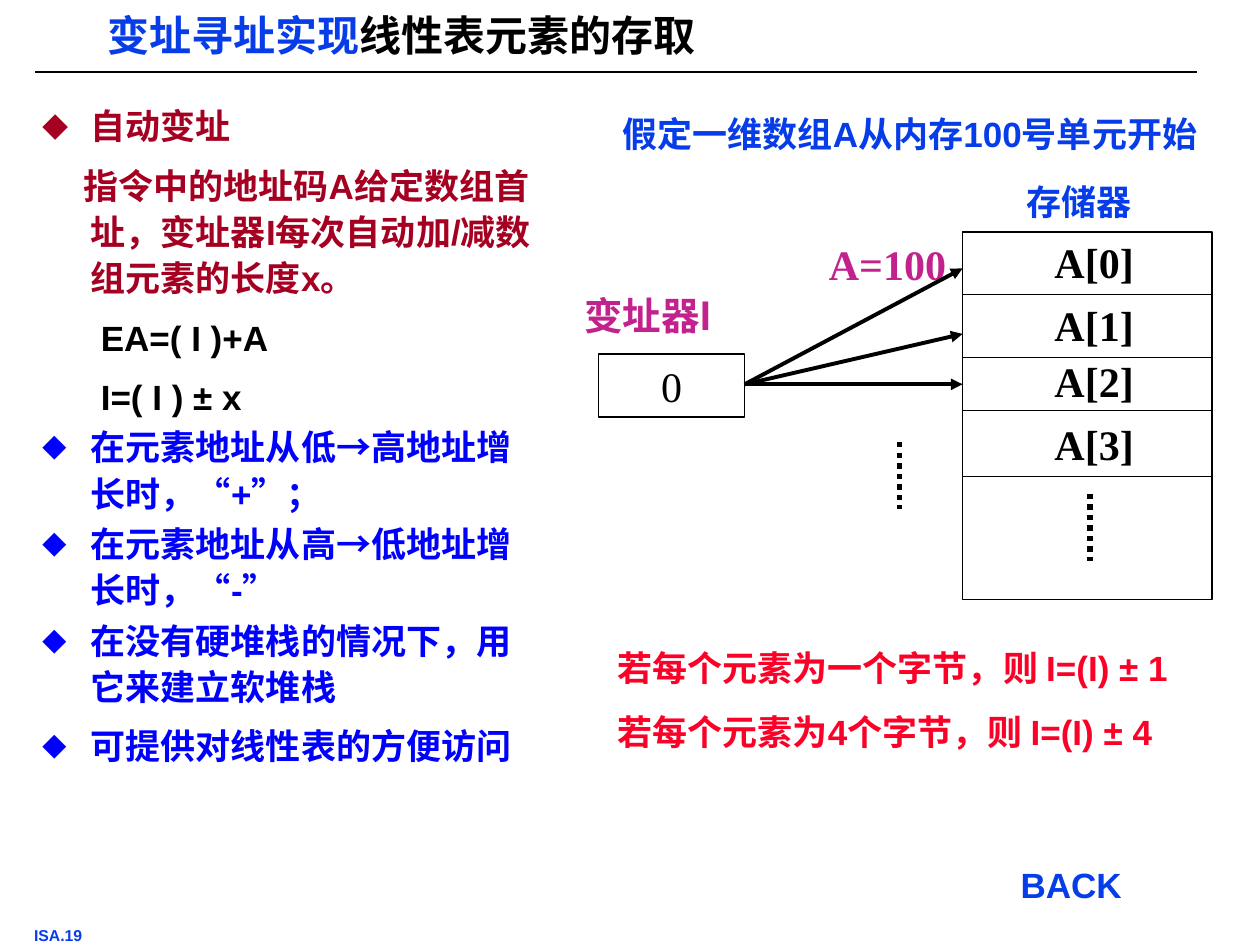
from dataclasses import dataclass
from typing import Optional

from lxml.etree import SubElement
from pptx import Presentation
from pptx.dml.color import RGBColor
from pptx.enum.dml import MSO_LINE
from pptx.enum.shapes import MSO_CONNECTOR, MSO_SHAPE
from pptx.enum.text import MSO_ANCHOR, MSO_AUTO_SIZE, PP_ALIGN
from pptx.oxml.ns import qn
from pptx.util import Inches, Pt


@dataclass(frozen=True)
class Theme:
    blue: str = "063DE8"
    bullet_blue: str = "0000FF"
    dark_red: str = "A50021"
    red: str = "FC0128"
    magenta: str = "C2228D"
    black: str = "000000"
    white: str = "FFFFFF"
    sans: str = "Arial"
    serif: str = "Times New Roman"
    chinese: str = "Noto Sans CJK SC"
    title: float = 24
    cell: float = 24
    register: float = 22
    text: float = 20
    footer: float = 9


THEME = Theme()
WIDE_INSET, NARROW_INSET = (0.1, 0.05), (0.07, 0.03)


@dataclass(frozen=True)
class Label:
    lines: tuple[str, ...]
    left: float
    top: float
    width: float
    height: float
    color: str = THEME.blue
    size: float = THEME.text
    font: str = THEME.sans
    inset: tuple[float, float] = NARROW_INSET
    wrap: bool = True


@dataclass(frozen=True)
class BodyItem:
    text: str
    color: str
    indent: float = -0.38
    space_before: float = 7.5
    bullet_size: Optional[int] = None


@dataclass(frozen=True)
class Line:
    start: tuple[float, float]
    end: tuple[float, float]
    width: float = 0.75
    dotted: bool = False
    arrow: bool = False


def format_font(paragraph, color: Optional[str], size: float,
                name: str = THEME.sans, bold: bool = True) -> None:
    font = paragraph.font
    font.size, font.name, font.bold = Pt(size), name, bold
    if color:
        font.color.rgb = RGBColor.from_string(color)
    SubElement(font._element, qn("a:ea"), typeface=THEME.chinese)


def format_frame(frame, inset: tuple[float, float], auto_size, wrap: bool = True) -> None:
    frame.margin_left = frame.margin_right = Inches(inset[0])
    frame.margin_top = frame.margin_bottom = Inches(inset[1])
    frame.auto_size, frame.word_wrap = auto_size, wrap
    frame.vertical_anchor = MSO_ANCHOR.TOP


def place(shape, left: float, top: float, width: float, height: float) -> None:
    shape.left, shape.top = Inches(left), Inches(top)
    shape.width, shape.height = Inches(width), Inches(height)


def add_paragraph(frame, index: int):
    return frame.add_paragraph() if index else frame.paragraphs[0]


def add_label(slide, label: Label) -> None:
    box = slide.shapes.add_textbox(Inches(label.left), Inches(label.top),
                                   Inches(label.width), Inches(label.height))
    format_frame(box.text_frame, label.inset, MSO_AUTO_SIZE.SHAPE_TO_FIT_TEXT, label.wrap)
    for index, text in enumerate(label.lines):
        paragraph = add_paragraph(box.text_frame, index)
        paragraph.text = text
        if index:
            paragraph.space_before = Pt(12.5)
        format_font(paragraph, label.color, label.size, label.font)


def add_line(slide, line: Line) -> None:
    connector = slide.shapes.add_connector(
        MSO_CONNECTOR.STRAIGHT, *(Inches(value) for value in line.start + line.end))
    connector.line.width = Pt(line.width)
    connector.line.color.rgb = RGBColor.from_string(THEME.black)
    if line.dotted:
        connector.line.dash_style = MSO_LINE.ROUND_DOT
    properties = connector._element.spPr
    if line.arrow:
        SubElement(properties.find(qn("a:ln")), qn("a:tailEnd"), type="triangle")
    SubElement(properties, qn("a:effectLst"))


def add_box(slide, left: float, top: float, width: float, height: float):
    box = slide.shapes.add_shape(MSO_SHAPE.RECTANGLE, Inches(left), Inches(top),
                                 Inches(width), Inches(height))
    box.shadow.inherit = False
    box.fill.solid()
    box.fill.fore_color.rgb = RGBColor.from_string(THEME.white)
    box.line.color.rgb = RGBColor.from_string(THEME.black)
    box.line.width = Pt(0.75)
    return box


def add_title(slide, parts: tuple[tuple[str, str], ...]) -> None:
    title = slide.shapes.title
    place(title, 0.78, 0.1, 6.2, 0.4)
    format_frame(title.text_frame, NARROW_INSET, MSO_AUTO_SIZE.SHAPE_TO_FIT_TEXT)
    paragraph = title.text_frame.paragraphs[0]
    paragraph.alignment, paragraph.line_spacing = PP_ALIGN.LEFT, 0.87
    format_font(paragraph, None, THEME.title)
    for text, color in parts:
        run = paragraph.add_run()
        run.text = text
        run.font.color.rgb = RGBColor.from_string(color)


def add_body(slide, items: tuple[BodyItem, ...]) -> None:
    body = slide.placeholders[1]
    place(body, 0.24, 0.75, 4.15, 6.2)
    format_frame(body.text_frame, WIDE_INSET, MSO_AUTO_SIZE.NONE)
    for index, item in enumerate(items):
        paragraph = add_paragraph(body.text_frame, index)
        paragraph.text = item.text
        properties = paragraph._p.get_or_add_pPr()
        properties.set("marL", str(Inches(0.38)))
        properties.set("indent", str(Inches(item.indent)))
        if item.bullet_size:
            bullet_color = SubElement(properties, qn("a:buClr"))
            SubElement(bullet_color, qn("a:srgbClr"), val=item.color)
            SubElement(properties, qn("a:buSzPct"), val=str(item.bullet_size * 1000))
            SubElement(properties, qn("a:buFont"), typeface=THEME.chinese)
            SubElement(properties, qn("a:buChar"), char="◆")
        else:
            SubElement(properties, qn("a:buNone"))
        paragraph.line_spacing = 1.1
        paragraph.space_before = Pt(item.space_before if index else 0)
        format_font(paragraph, item.color, THEME.text)


def add_memory_diagram(slide) -> None:
    left, right, top, bottom = 7.64, 9.62, 1.84, 4.76
    # Index register and its arrows into the first three cells
    register = add_box(slide, 4.75, 2.81, 1.16, 0.5)
    format_frame(register.text_frame, WIDE_INSET, MSO_AUTO_SIZE.SHAPE_TO_FIT_TEXT)
    paragraph = register.text_frame.paragraphs[0]
    paragraph.text, paragraph.alignment = "0", PP_ALIGN.CENTER
    format_font(paragraph, THEME.black, THEME.cell, THEME.serif, bold=False)
    add_label(slide, Label(("A=100",), 6.48, top, 1.16, 0.5, THEME.magenta,
                           THEME.cell, THEME.serif, WIDE_INSET))
    add_label(slide, Label(("变址器I",), 4.54, 2.27, 1.37, 0.47, THEME.magenta,
                           THEME.register, THEME.chinese, WIDE_INSET))
    for target in (2.13, 2.65, 3.05):
        add_line(slide, Line((5.91, 3.05), (left, target), 2.25, arrow=True))
    # Memory column with its cells
    add_box(slide, left, top, right - left, bottom - top)
    for divider in (2.34, 2.84, 3.26, 3.78):
        add_line(slide, Line((left, divider), (right, divider)))
    for index, cell_top in enumerate((1.83, 2.33, 2.77, 3.27)):
        add_label(slide, Label((f"A[{index}]",), 8.27, cell_top, 1.19, 0.5, THEME.black,
                               THEME.cell, THEME.serif, WIDE_INSET))
    # Continuation dots
    for x, y in ((7.14, 3.51), (8.65, 3.92)):
        add_line(slide, Line((x, y), (x, y + 0.53), 3, dotted=True))
    add_label(slide, Label(("存储器",), 8.08, 1.4, 1.57, 0.39))


BODY = (
    BodyItem("自动变址", THEME.dark_red, bullet_size=75),
    BodyItem("指令中的地址码A给定数组首址，变址器I每次自动加/减数组元素的长度x。",
             THEME.dark_red, indent=-0.06),
    BodyItem("EA=( I )+A", THEME.black, indent=0.08),
    BodyItem("I=( I ) ± x", THEME.black, indent=0.08),
    BodyItem("在元素地址从低→高地址增长时，“+”；", THEME.bullet_blue, space_before=2.5, bullet_size=70),
    BodyItem("在元素地址从高→低地址增长时，“-”", THEME.bullet_blue, space_before=2.5, bullet_size=70),
    BodyItem("在没有硬堆栈的情况下，用它来建立软堆栈", THEME.bullet_blue, space_before=2.5, bullet_size=70),
    BodyItem("可提供对线性表的方便访问", THEME.bullet_blue, bullet_size=70),
)
LABELS = (
    Label(("ISA.19",), 0.2, 7.32, 1.02, 0.18, size=THEME.footer, wrap=False),
    Label(("若每个元素为一个字节，则 I=(I) ± 1", "若每个元素为4个字节，则 I=(I) ± 4"),
          4.83, 5.1, 4.95, 0.9, THEME.red),
    Label(("假定一维数组A从内存100号单元开始",), 4.87, 0.86, 4.87, 0.72),
    Label(("BACK",), 8.03, 6.82, 1.76, 0.39),
)


def main() -> None:
    presentation = Presentation()
    presentation.slide_width, presentation.slide_height = Inches(10), Inches(7.5)
    slide = presentation.slides.add_slide(presentation.slide_layouts[1])
    add_title(slide, (("变址寻址实现", THEME.blue), ("线性表元素的存取", THEME.black)))
    add_line(slide, Line((0.28, 0.57), (9.5, 0.57), 1))
    add_body(slide, BODY)
    add_memory_diagram(slide)
    for label in LABELS:
        add_label(slide, label)
    presentation.save("out.pptx")


if __name__ == "__main__":
    main()
